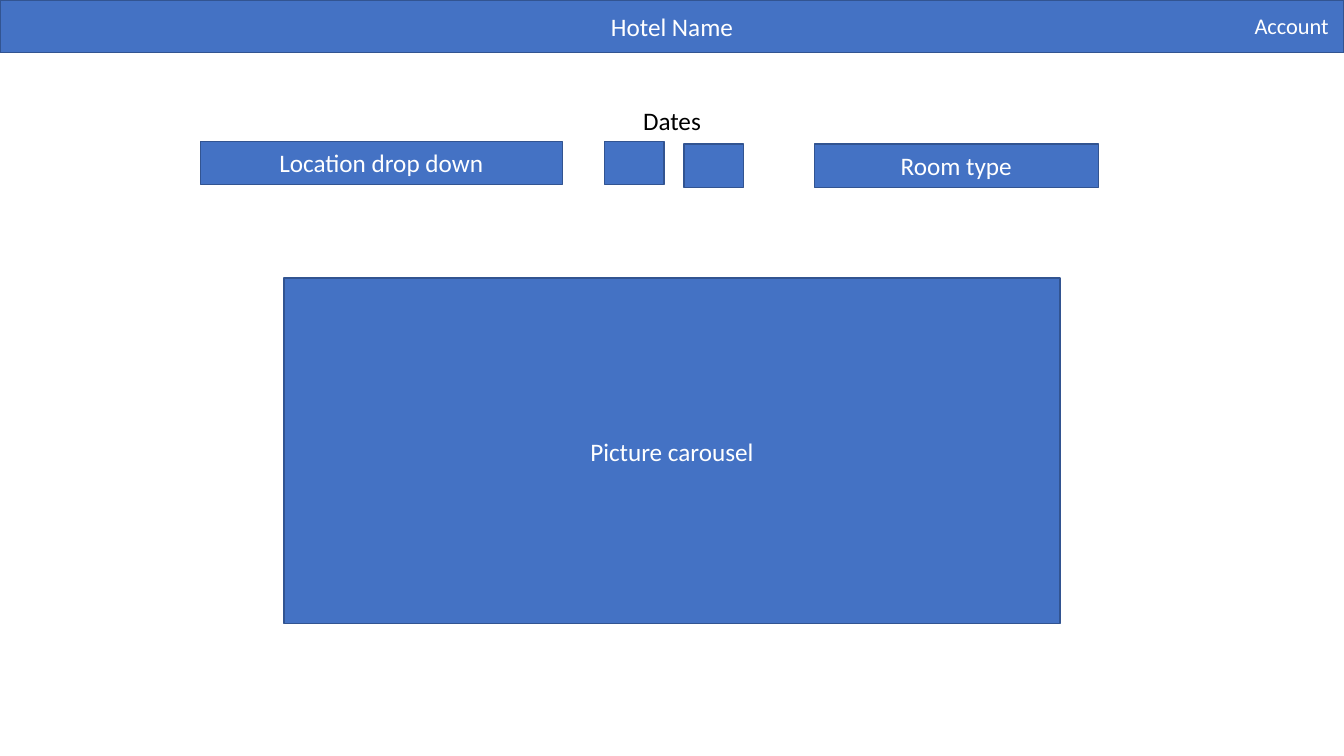
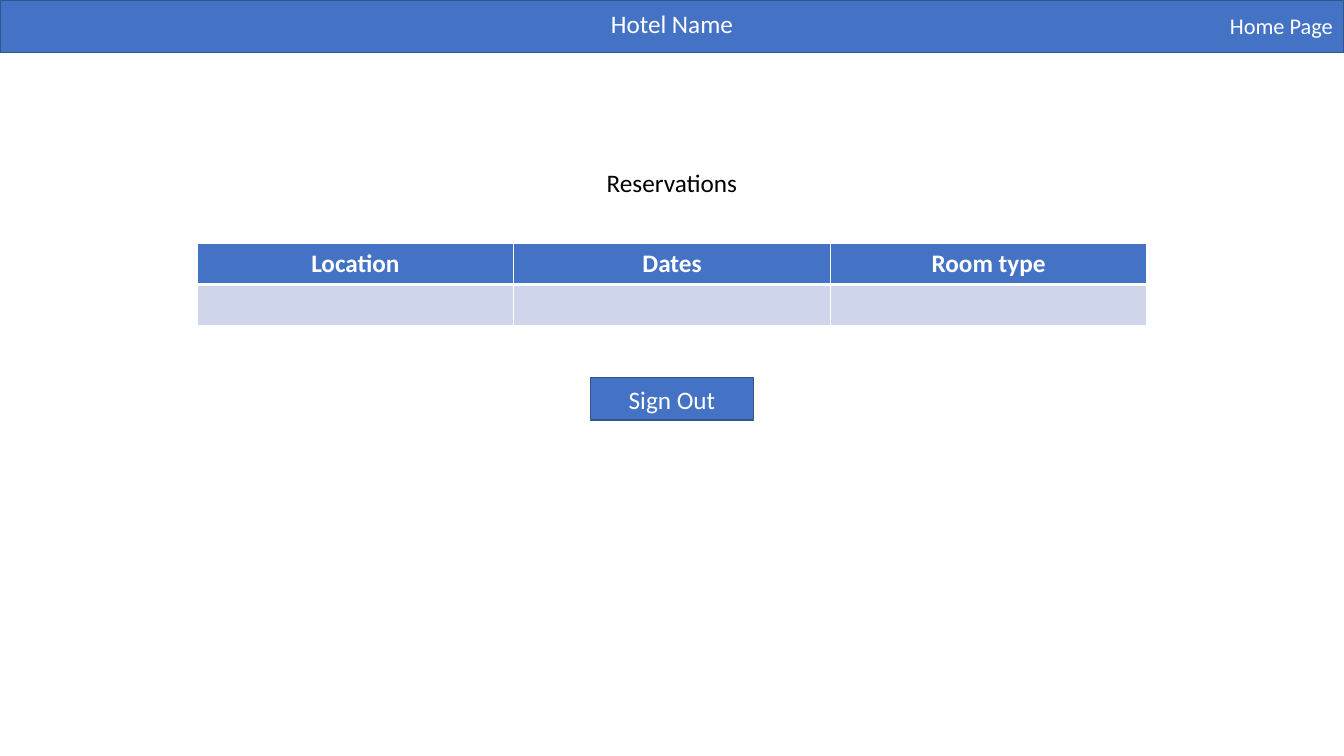
from dataclasses import dataclass

from lxml.etree import SubElement as Sub
from pptx import Presentation as Deck
from pptx.dml.color import RGBColor as Rgb
from pptx.enum.shapes import MSO_SHAPE as Shape
from pptx.enum.text import MSO_ANCHOR as Anchor, MSO_AUTO_SIZE as Fit, PP_ALIGN as Align
from pptx.oxml.ns import qn
from pptx.slide import Slide
from pptx.text.text import TextFrame as Frame
from pptx.util import Cm, Pt

FONT = "Calibri"
BLUE, EDGE, PALE = "4472C4", "325491", "CFD5EA"
WHITE, BLACK = "FFFFFF", "000000"
WIDE, HIGH = 33.87, 19.05
FIELD = 1.09


@dataclass(frozen=True)
class Box:
    left: float
    top: float
    width: float
    height: float
    text: str = ""

    def area(self) -> tuple[Cm, Cm, Cm, Cm]:
        return Cm(self.left), Cm(self.top), Cm(self.width), Cm(self.height)


def mid(top: float, width: float, height: float, text: str = "") -> Box:
    return Box((WIDE - width) / 2, top, width, height, text)


def end(width: float, text: str) -> Box:
    return Box(WIDE - width, 0.18, width, 0.94, text)


def tint(part, code: str) -> None:
    part.solid()
    part.fore_color.rgb = Rgb.from_string(code)


def write(frame: Frame, text: str, color: str, size: int = 18, bold: bool = False) -> None:
    frame.text = text
    for para in frame.paragraphs:
        para.alignment = Align.CENTER
        for run in para.runs:
            run.font.name, run.font.size, run.font.bold = FONT, Pt(size), bold
            tint(run.font.fill, color)


def block(slide: Slide, box: Box):
    shape = slide.shapes.add_shape(Shape.RECTANGLE, *box.area())
    shape.shadow.inherit = False
    tint(shape.fill, BLUE)
    tint(shape.line.fill, EDGE)
    shape.line.width = Pt(1)
    if box.text:
        shape.text_frame.vertical_anchor = Anchor.MIDDLE
        write(shape.text_frame, box.text, WHITE)
    return shape


def label(slide: Slide, box: Box, color: str, size: int = 18) -> None:
    frame = slide.shapes.add_textbox(*box.area()).text_frame
    frame.word_wrap = True
    frame.auto_size = Fit.SHAPE_TO_FIT_TEXT
    write(frame, box.text, color, size)


def page(deck, top: float, link: Box) -> Slide:
    slide = deck.slides.add_slide(deck.slide_layouts.get_by_name("Title Only"))
    band = block(slide, Box(0, 0, WIDE, 1.32))
    title = slide.shapes.title
    title.left, title.top, title.width, title.height = mid(top, 3.6, 1.02).area()
    frame = title.text_frame
    frame.word_wrap = False
    frame.auto_size = Fit.NONE
    frame.vertical_anchor = Anchor.TOP
    write(frame, "Hotel Name", WHITE)
    band.element.addnext(title.element)
    label(slide, link, WHITE, 16)
    return slide


def rule(cell, side: str, width: int) -> None:
    line = Sub(cell._tc.get_or_add_tcPr(), qn(f"a:ln{side}"), w=str(Pt(width)))
    Sub(Sub(line, qn("a:solidFill")), qn("a:srgbClr"), val=WHITE)


def grid(slide: Slide, box: Box, heads: list[str]) -> None:
    table = slide.shapes.add_table(2, len(heads), *box.area()).table
    for col, head in enumerate(heads):
        for row, (text, fill, thick) in enumerate([(head, BLUE, "B"), ("", PALE, "T")]):
            cell = table.cell(row, col)
            for side in "LRTB":
                rule(cell, side, 3 if side == thick else 1)
            tint(cell.fill, fill)
            write(cell.text_frame, text, WHITE, bold=True)


def main() -> None:
    deck = Deck()
    deck.slide_width, deck.slide_height = Cm(WIDE), Cm(HIGH)

    home = page(deck, 0.15, end(2.64, "Account"))
    for box in (
        Box(5.05, 3.56, 9.12, FIELD, "Location drop down"),
        Box(15.24, 3.56, 1.5, FIELD),
        Box(17.24, 3.63, 1.5, FIELD),
        Box(20.52, 3.63, 7.16, FIELD, "Room type"),
        mid(7.01, 19.56, 8.71, "Picture carousel"),
    ):
        block(home, box)
    label(home, mid(2.54, 2.29, 1.02, "Dates"), BLACK)

    account = page(deck, 0.08, end(3.15, "Home Page"))
    label(account, mid(4.09, 5.94, 1.02, "Reservations"), BLACK)
    grid(account, mid(6.13, 23.94, 2.08), ["Location", "Dates", "Room type"])
    block(account, mid(9.52, 4.12, 1.07, "Sign Out"))

    deck.save("out.pptx")


if __name__ == "__main__":
    main()
